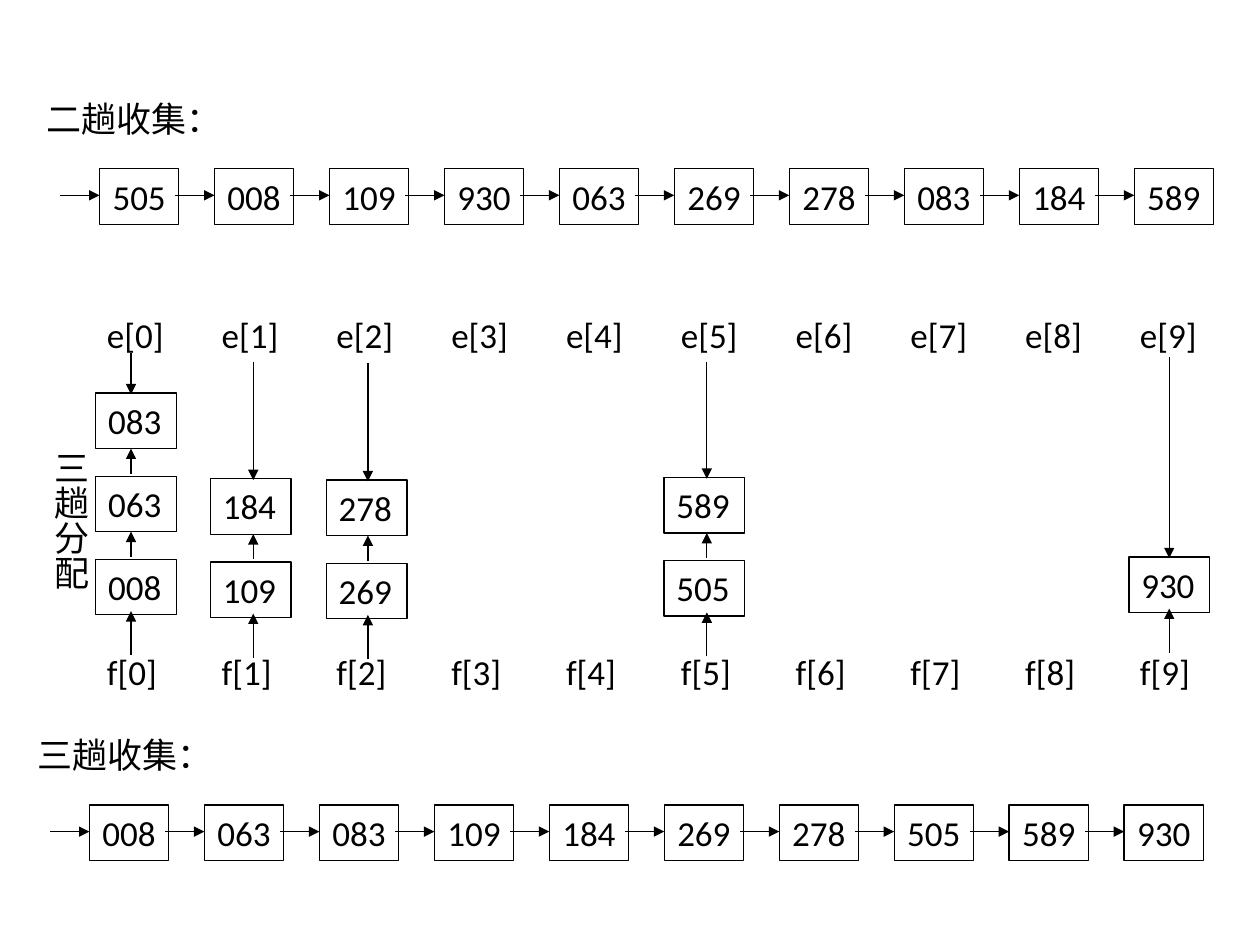
from dataclasses import dataclass
from lxml import etree
from pptx import Presentation
from pptx.dml.color import RGBColor
from pptx.enum.shapes import MSO_CONNECTOR, MSO_SHAPE
from pptx.enum.text import MSO_ANCHOR, MSO_AUTO_SIZE, PP_ALIGN
from pptx.oxml.ns import qn
from pptx.util import Inches, Pt

RECT = MSO_SHAPE.RECTANGLE
STRAIGHT = MSO_CONNECTOR.STRAIGHT
TOP, MIDDLE = MSO_ANCHOR.TOP, MSO_ANCHOR.MIDDLE
LEFT, CENTER = PP_ALIGN.LEFT, PP_ALIGN.CENTER
FIXED, GROW = MSO_AUTO_SIZE.NONE, MSO_AUTO_SIZE.SHAPE_TO_FIT_TEXT


@dataclass
class Theme:
    font: str = "Calibri"
    size: Pt = Pt(20)
    ink: RGBColor = RGBColor(0, 0, 0)
    line: Pt = Pt(0.75)


theme = Theme()
PITCH = 0.9124
BOX_W, BOX_H = 0.63, 0.44
LEVEL = 0.66

prs = Presentation()
prs.slide_width, prs.slide_height = Inches(10), Inches(7.5)
slide = prs.slides.add_slide(prs.slide_layouts[5])


def write(sp, text, box, anchor=TOP, align=LEFT):
    sp.left, sp.top, sp.width, sp.height = map(Inches, box)
    tf = sp.text_frame
    tf.text = text
    tf.auto_size = FIXED
    tf.word_wrap = True
    tf.vertical_anchor = anchor
    tf.margin_right = 0 if align == LEFT else tf.margin_left
    p = tf.paragraphs[0]
    p.alignment = align
    p.font.name, p.font.size = theme.font, theme.size
    p.font.color.rgb = theme.ink
    if sp.shape_type == 1:
        sp.shadow.inherit = False
        sp.fill.background()
        sp.line.color.rgb, sp.line.width = theme.ink, theme.line
        tf.word_wrap = align == LEFT
    return tf


def arrow(x1, y1, x2, y2):
    c = slide.shapes.add_connector(STRAIGHT, *map(Inches, (x1, y1, x2, y2)))
    c.line.color.rgb, c.line.width = theme.ink, theme.line
    etree.SubElement(c.line._get_or_add_ln(), qn("a:tailEnd"), type="triangle")
    etree.SubElement(c._element.spPr, qn("a:effectLst"))


shapes = slide.shapes
write(shapes.title, "二趟收集：", (0.27, 0.72, 1.67, 0.43))
write(shapes.add_textbox(0, 0, 0, 0), "三趟收集：", (0.2, 5.77, 1.67, 0.43))

chains = [
    (0.79, 1.34, "505 008 109 930 063 269 278 083 184 589"),
    (0.71, 6.39, "008 063 083 109 184 269 278 505 589 930"),
]
for left, top, keys in chains:
    for i, key in enumerate(keys.split()):
        x = left + i * PITCH
        write(shapes.add_shape(RECT, 0, 0, 0, 0), key, (x, top, BOX_W, BOX_H), MIDDLE, CENTER)
        arrow(x - 0.31, top + 0.21, x, top + 0.21)

for name, top in (("e", 2.44), ("f", 5.11)):
    for i in range(10):
        write(shapes.add_textbox(0, 0, 0, 0), f"{name}[{i}]", (0.75 + i * 0.911, top, 0.65, 0.43))

tf = write(shapes.add_textbox(0, 0, 0, 0), "三趟分配", (0.25, 3.48, 0.53, 1.27))
tf.margin_right = tf.margin_left
tf.word_wrap = False
tf.auto_size = GROW
tf._txBody.bodyPr.set("vert", "eaVert")

buckets = [
    (0.76, 4.44, 1.04, 2.8, ["008", "063", "083"]),
    (1.67, 4.46, 2.01, 2.87, ["109", "184"]),
    (2.59, 4.47, 2.92, 2.88, ["269", "278"]),
    (5.27, 4.45, 5.61, 2.87, ["505", "589"]),
    (8.96, 4.42, 9.28, 2.83, ["930"]),
]
for left, base, axis, head, keys in buckets:
    arrow(axis, base + 0.76, axis, base + 0.41)
    for i, key in enumerate(keys):
        top = base - i * LEVEL
        write(shapes.add_shape(RECT, 0, 0, 0, 0), key, (left, top, 0.64, BOX_H))
        if i:
            arrow(axis, top + LEVEL - 0.02, axis, top + BOX_H)
    arrow(axis, head, axis, top + 0.01)

prs.save("out.pptx")
